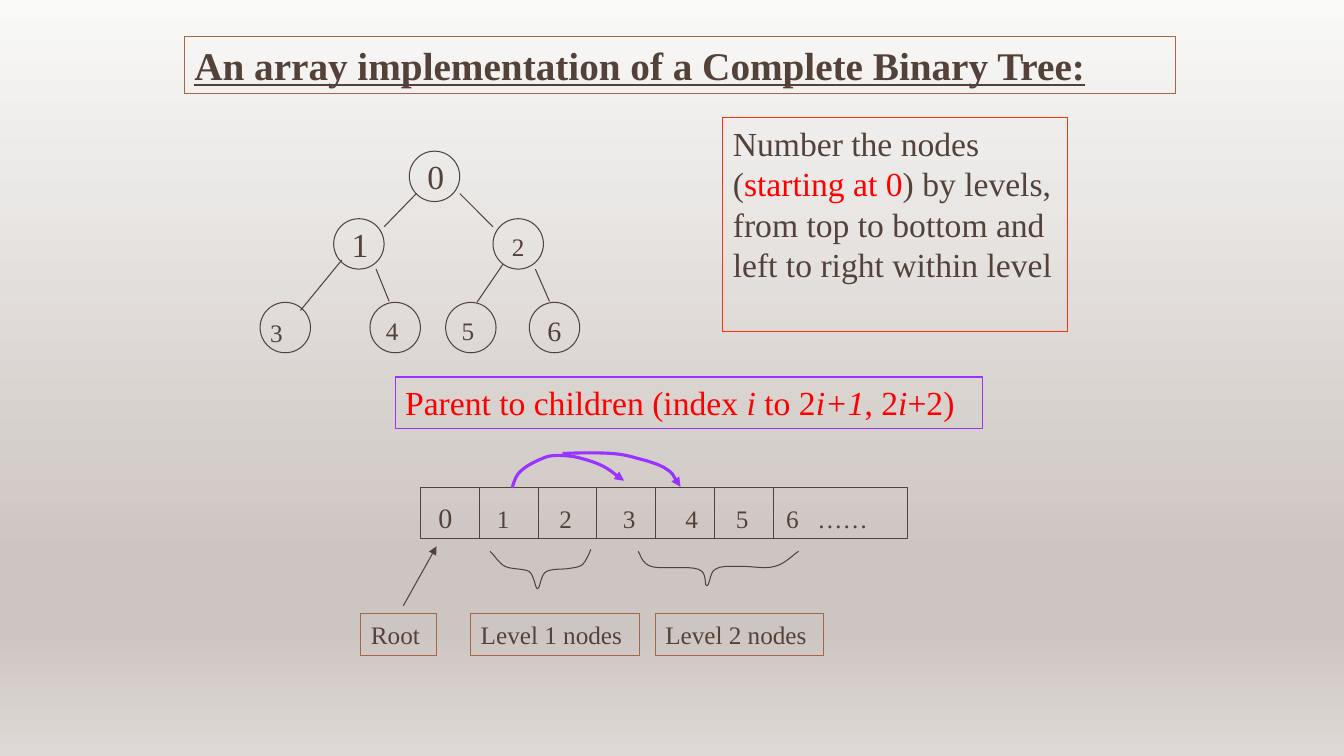
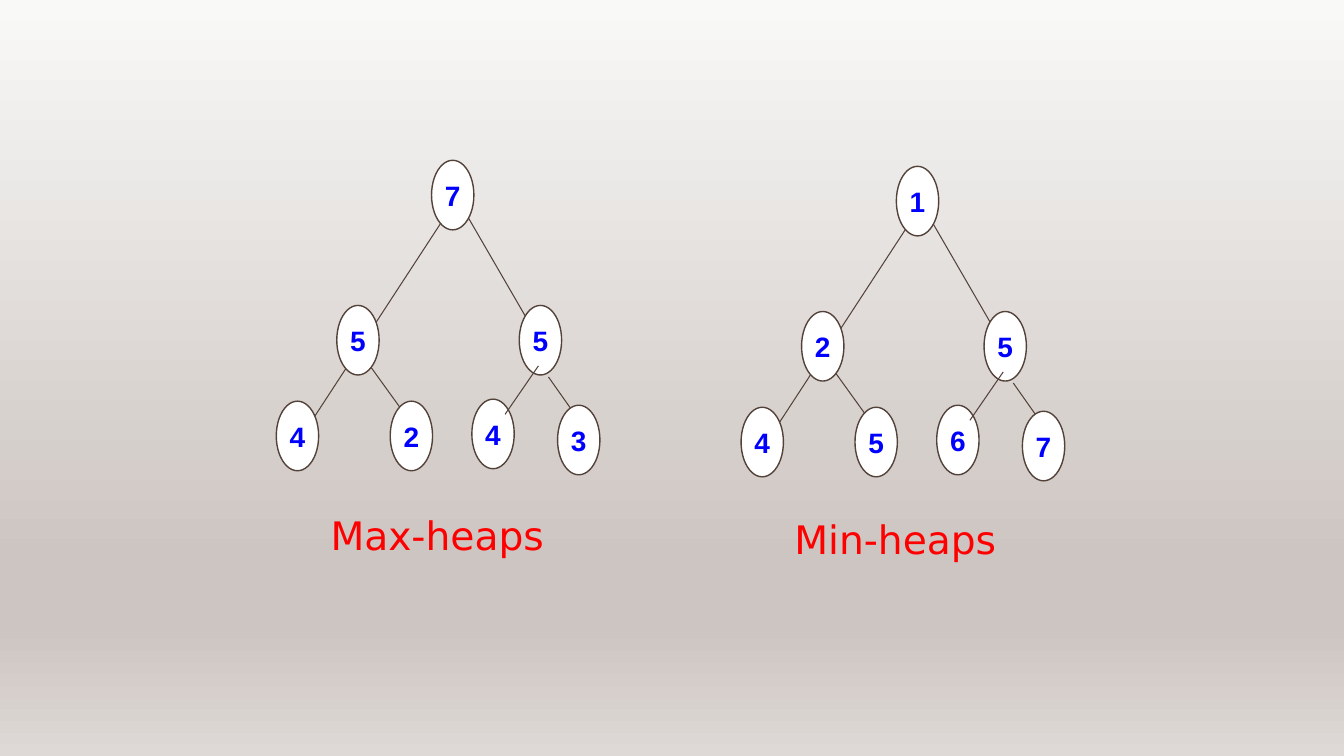
from pptx import Presentation, util as u
from pptx.dml.color import RGBColor
from pptx.enum import shapes, text
from pptx.oxml.ns import qn
from lxml import etree

C = dict(ink="534239", brown="A46645", orange="FF3300", red="FF0000",
         violet="9933FF", blue="0000FF", white="FFFFFF")
BACKDROP = [(0, "F9F9F8"), (74, "CDC5C1"), (83, "CDC5C1"), (100, "DED9D6")]
SERIF, SANS, WIDE = "Times New Roman", "Arial", "DejaVu Sans"

BOXES = [
    ((1.83, 0.36, 9.83, 0.57), "brown", ["An array implementation of a Complete Binary Tree:"],
     dict(size=28, bold=True, underline=True)),
    ((7.17, 1.17, 3.42, 2.12), "orange",
     ["Number the nodes (", ("starting at 0", dict(color="red")),
      ") by levels, from top to bottom and left to right within level"],
     dict(size=24, right=0.14)),
    ((3.92, 3.74, 5.83, 0.51), "violet",
     ["Parent to children (index ", ("i", dict(italic=True)), " to 2",
      ("i+1", dict(italic=True)), ", 2", ("i", dict(italic=True)), "+2)"],
     dict(size=24, color="red")),
    ((3.58, 6.09, 0.75, 0.41), "brown", ["Root"], {}),
    ((4.67, 6.09, 1.67, 0.41), "brown", ["Level 1 nodes"], {}),
    ((6.5, 6.09, 1.67, 0.41), "brown", ["Level 2 nodes"], {}),
]
NODE = 0.5
NODES = [
    (4.06, 1.5, 24, 0.08, 0), (3.31, 2.17, 24, 0.08, 0), (4.89, 2.17, 18, 0.09, 0.08),
    (2.58, 3, 18, 0, 0.1), (3.67, 3, 18, 0.06, 0.08), (4.42, 3, 18, 0.06, 0.08),
    (5.25, 3, 20, 0.08, 0.06),
]
EDGES = [
    (4.13, 1.92, 3.81, 2.25), (4.56, 1.92, 4.89, 2.25), (3.39, 2.58, 2.98, 3.08),
    (3.73, 2.67, 3.86, 2.99), (4.99, 2.62, 4.73, 3), (5.31, 2.67, 5.45, 2.99),
]
ARRAY = (4.17, 4.84, 4.83, 0.5)
CELL, CELLS = 7 / 12, 7
ENTRIES = ["1", "2", "3", "4", "5", "6", "……"]
TABS = [0.58, 1.2, 1.83, 2.45, 2.95, 3.45, 3.76]
BRACES = [
    [(4.86, 5.47), (4.89, 5.49), (4.95, 5.59), (5.01, 5.62), (5.08, 5.65), (5.2, 5.64),
     (5.25, 5.67), (5.3, 5.71), (5.31, 5.84), (5.33, 5.84), (5.36, 5.84), (5.36, 5.7),
     (5.42, 5.67), (5.47, 5.64), (5.59, 5.65), (5.64, 5.64), (5.7, 5.63), (5.74, 5.63),
     (5.78, 5.6), (5.81, 5.57), (5.85, 5.48), (5.86, 5.45)],
    [(6.33, 5.47), (6.35, 5.49), (6.36, 5.59), (6.46, 5.62), (6.56, 5.65), (6.84, 5.61),
     (6.93, 5.65), (7.02, 5.68), (6.98, 5.81), (7.01, 5.81), (7.04, 5.81), (7.04, 5.68),
     (7.09, 5.65), (7.15, 5.61), (7.22, 5.62), (7.32, 5.62), (7.42, 5.61), (7.58, 5.65),
     (7.68, 5.62), (7.78, 5.6), (7.87, 5.5), (7.92, 5.47)],
]
JUMPS = [
    [(5.08, 4.84), (5.1, 4.78), (5.11, 4.72), (5.17, 4.67), (5.22, 4.62), (5.34, 4.56),
     (5.43, 4.53), (5.51, 4.51), (5.6, 4.52), (5.69, 4.53), (5.78, 4.55), (5.89, 4.58),
     (5.97, 4.62), (6.05, 4.66), (6.14, 4.74), (6.19, 4.77)],
    [(5.58, 4.5), (5.76, 4.49), (5.95, 4.49), (6.08, 4.5), (6.22, 4.51), (6.32, 4.55),
     (6.41, 4.57), (6.5, 4.6), (6.57, 4.62), (6.62, 4.66), (6.68, 4.7), (6.72, 4.8),
     (6.75, 4.83)],
]

HEAP_W, HEAP_H = 0.42, 0.69
HEAP_NODES = [(4.28, 1.59), (3.34, 3.03), (5.15, 3.03), (2.74, 3.98), (3.87, 3.98),
              (4.68, 3.96), (5.53, 4.02)]
BACK_EDGES = [(3.67, 3.63, 3.98, 4.06), (2.88, 4.5, 4.59, 1.88), (5.34, 3.36, 4.39, 1.72)]
FRONT_EDGES = [(5.34, 3.63, 5.01, 4.11), (5.44, 3.74, 5.75, 4.18)]
HEAPS = [
    ("Max-heaps", (3.18, 5.02, 2.49, 0.57), "7554243", 0, 0),
    ("Min-heaps", (7.78, 5.06, 2.38, 0.57), "1254567", 4.61, 0.06),
]


def inches(*values):
    return [u.Inches(v) for v in values]


def rgb(name):
    return RGBColor.from_string(C[name])


def write(sp, runs, size=18, color="ink", font=SERIF, align=text.PP_ALIGN.LEFT,
          anchor=text.MSO_ANCHOR.TOP, wrap=True, right=0.1, **style):
    tf = sp.text_frame
    tf.word_wrap, tf.vertical_anchor = wrap, anchor
    tf.margin_right = u.Inches(right)
    p = tf.paragraphs[0]
    p.alignment = align
    for run in runs:
        words, extra = (run, {}) if isinstance(run, str) else run
        look = dict(size=size, color=color, **style) | extra
        r = p.add_run()
        r.text = words
        r.font.name, r.font.size = font, u.Pt(look.pop("size"))
        r.font.color.rgb = rgb(look.pop("color"))
        for key, value in look.items():
            setattr(r.font, key, value)
    return p


def label(s, at, runs, **style):
    return write(s.shapes.add_textbox(*inches(*at)), runs, **style)


def outline(sp, color="ink", width=0.75, fill=None):
    sp.shadow.inherit = False
    if fill:
        sp.fill.solid()
        sp.fill.fore_color.rgb = rgb(fill)
    else:
        sp.fill.background()
    sp.line.color.rgb, sp.line.width = rgb(color), u.Pt(width)
    return sp


def shape(parent, kind, at, **look):
    return outline(parent.shapes.add_shape(kind, *inches(*at)), **look)


def arrowhead(sp):
    etree.SubElement(sp.line._get_or_add_ln(), qn("a:tailEnd"), type="triangle")


def line(parent, ends):
    cx = parent.shapes.add_connector(shapes.MSO_CONNECTOR.STRAIGHT, *inches(*ends))
    cx.line.color.rgb, cx.line.width = rgb("ink"), u.Pt(0.75)
    etree.SubElement(cx._element.spPr, qn("a:effectLst"))
    return cx


def curve(s, points, **look):
    fb = s.shapes.build_freeform(*inches(*points[0]))
    fb.add_line_segments([inches(*q) for q in points[1:]], close=False)
    sp = fb.convert_to_shape()
    segments = list(sp._element.iter(qn("a:lnTo")))
    outlined = segments[0].getparent()
    for i in range(0, len(segments), 3):
        bezier = etree.SubElement(outlined, qn("a:cubicBezTo"))
        for segment in segments[i:i + 3]:
            bezier.append(segment[0])
            outlined.remove(segment)
    return outline(sp, **look)


def paint_backdrop(master):
    fill = master.background.fill
    fill.gradient()
    fill.gradient_angle = 270
    stops = master.element.find(".//" + qn("a:gsLst"))
    for stop in list(stops):
        stops.remove(stop)
    for share, color in BACKDROP:
        stop = etree.SubElement(stops, qn("a:gs"), pos=str(share * 1000))
        etree.SubElement(stop, qn("a:srgbClr"), val=color)


def array_slide(s):
    rect, oval = shapes.MSO_SHAPE.RECTANGLE, shapes.MSO_SHAPE.OVAL
    for at, color, runs, style in BOXES:
        write(shape(s, rect, at, color=color), runs, **style)
    for i, (x, y, size, dx, dy) in enumerate(NODES):
        shape(s, oval, (x, y, NODE, NODE))
        label(s, (x + dx, y + dy, NODE, 0.44), [str(i)], size=size)
    for ends in EDGES:
        line(s, ends)

    left, top, width, height = ARRAY
    shape(s, rect, ARRAY)
    for i in range(1, CELLS):
        x = left + i * CELL
        line(s, (x, top, x, top + height))
    p = label(s, (left + 0.08, top + 0.08, 4.67, 0.44),
              [("0", dict(size=20)), "".join("\t" + e for e in ENTRIES)])
    tabs = etree.SubElement(p._p.get_or_add_pPr(), qn("a:tabLst"))
    for pos in TABS:
        etree.SubElement(tabs, qn("a:tab"), pos=str(u.Inches(pos)), algn="l")

    for points in BRACES:
        curve(s, points)
    for points in JUMPS:
        arrowhead(curve(s, points, color="violet", width=2.25))
    arrowhead(line(s, (4, 6.01, 4.33, 5.42)))


def heap_slide(s):
    for caption, at, values, dx, dy in HEAPS:
        group = s.shapes.add_group_shape()
        nodes = list(zip(HEAP_NODES, values))
        for edges, layer in ((BACK_EDGES, nodes[:6]), (FRONT_EDGES, nodes[6:])):
            for x1, y1, x2, y2 in edges:
                line(group, (x1 + dx, y1 + dy, x2 + dx, y2 + dy))
            for (x, y), value in layer:
                sp = shape(group, shapes.MSO_SHAPE.OVAL, (x + dx, y + dy, HEAP_W, HEAP_H),
                           width=1, fill="white")
                write(sp, [value], size=20, color="blue", font=SANS, bold=True, wrap=False,
                      align=text.PP_ALIGN.CENTER, anchor=text.MSO_ANCHOR.MIDDLE)
        label(s, at, [caption], size=28, color="red", font=WIDE)


def main():
    prs = Presentation()
    prs.slide_width, prs.slide_height = inches(13.33, 7.5)
    paint_backdrop(prs.slide_master)
    for build in (array_slide, heap_slide):
        build(prs.slides.add_slide(prs.slide_layouts[6]))
    prs.save("out.pptx")


if __name__ == "__main__":
    main()
